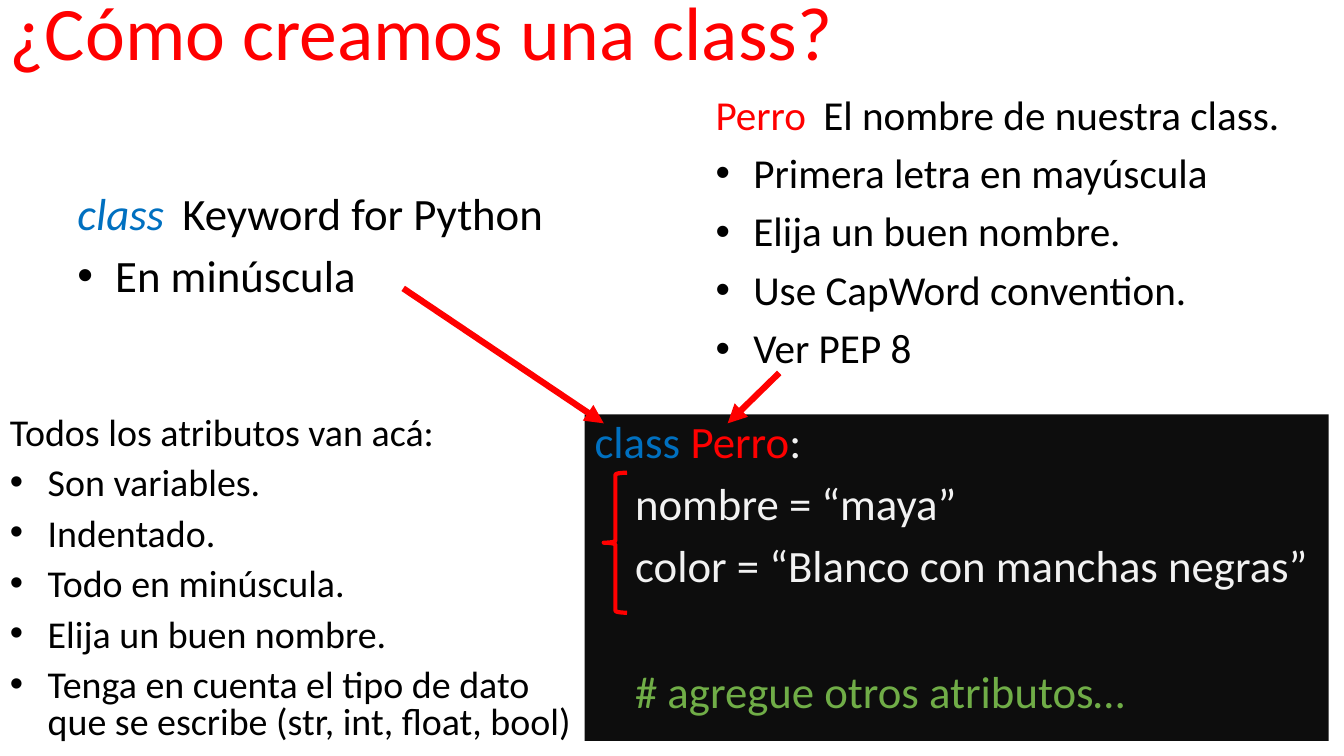
from dataclasses import dataclass

from lxml import etree
from pptx import Presentation
from pptx.dml.color import RGBColor
from pptx.enum.shapes import MSO_CONNECTOR, MSO_SHAPE
from pptx.enum.text import MSO_ANCHOR
from pptx.oxml.ns import qn
from pptx.util import Pt

STRAIGHT = MSO_CONNECTOR.STRAIGHT
RECTANGLE, LEFT_BRACE = MSO_SHAPE.RECTANGLE, MSO_SHAPE.LEFT_BRACE
TOP, BOTTOM = MSO_ANCHOR.TOP, MSO_ANCHOR.BOTTOM


@dataclass(frozen=True)
class Theme:
    font: str = "Calibri"
    red: str = "FF0000"
    blue: str = "0070C0"
    green: str = "70AD47"
    black: str = "000000"
    panel: str = "0D0D0D"
    light: str = "F2F2F2"
    title_size: float = 54
    body_size: float = 32
    name_size: float = 29.4
    attribute_size: float = 27.1
    gap: float = 10
    code_gap: float = 55  # leaves one empty line in the code
    indent: float = 27
    arrow_width: float = 4.5
    brace_width: float = 3


THEME = Theme()


@dataclass(frozen=True)
class Span:
    text: str
    color: str = THEME.black
    italic: bool = False


@dataclass(frozen=True)
class Line:
    spans: tuple[Span, ...]
    bullet: bool = False
    tab: float = 0
    before: float = THEME.gap


@dataclass(frozen=True)
class Block:
    left: float
    top: float
    width: float
    height: float
    size: float
    lines: tuple[Line, ...]
    spacing: float = 0.9
    anchor: MSO_ANCHOR = TOP
    fill: str = ""


@dataclass(frozen=True)
class Arrow:
    start: tuple[float, float]
    end: tuple[float, float]


def bullets(*texts: str) -> tuple[Line, ...]:
    return tuple(Line((Span(text),), bullet=True) for text in texts)


def code(text: str, color: str = THEME.light, before: float = THEME.gap) -> Line:
    return Line((Span(text, color),), before=before)


BLOCKS = (
    # Title
    Block(0, 1.5, 648, 57, THEME.title_size,
          (Line((Span("¿Cómo creamos una class?", THEME.red),)),), anchor=BOTTOM),
    # Code panel
    Block(417.6, 296, 531.4, 233.3, THEME.body_size, (
        Line((Span("class ", THEME.blue), Span("Perro", THEME.red),
              Span(":", THEME.light))),
        code("    nombre = “maya”"),
        code("    color = “Blanco con manchas negras”"),
        code("    # agregue otros atributos…", THEME.green, THEME.code_gap),
    ), fill=THEME.panel),
    # Note on the keyword
    Block(48.2, 133.2, 392.4, 89.3, THEME.body_size, (
        Line((Span("class", THEME.blue, True), Span("\tKeyword for Python")), tab=75),
        *bullets("En minúscula"),
    )),
    # Note on the class name
    Block(504, 64, 454.3, 216, THEME.name_size, (
        Line((Span("Perro", THEME.red), Span("\tEl nombre de nuestra class.")), tab=77),
        *bullets("Primera letra en mayúscula", "Elija un buen nombre.",
                 "Use CapWord convention.", "Ver PEP 8"),
    )),
    # Note on the attributes
    Block(0, 294.5, 417.6, 265, THEME.attribute_size, (
        Line((Span("Todos los atributos van acá:"),)),
        *bullets("Son variables.", "Indentado.", "Todo en minúscula.",
                 "Elija un buen nombre.",
                 "Tenga en cuenta el tipo de dato que se escribe (str, int, float, bool)"),
    ), spacing=0.8),
)

ARROWS = (
    Arrow((288, 206), (431.3, 302.4)),
    Arrow((556.6, 266.4), (519.8, 302.4)),
)


def rgb(color: str) -> RGBColor:
    return RGBColor.from_string(color)


def add_line(para, line: Line, block: Block, first: bool) -> None:
    properties = para._p.get_or_add_pPr()
    properties.set("algn", "l")
    para.line_spacing = block.spacing
    para.space_before = Pt(0 if first else line.before)
    if line.bullet:
        properties.set("marL", str(Pt(THEME.indent)))
        properties.set("indent", str(-Pt(THEME.indent)))
        etree.SubElement(properties, qn("a:buFont"), typeface="Arial")
        etree.SubElement(properties, qn("a:buChar"), char="•")
    if line.tab:
        tabs = etree.SubElement(properties, qn("a:tabLst"))
        etree.SubElement(tabs, qn("a:tab"), pos=str(Pt(line.tab)), algn="l")
    for span in line.spans:
        run = para.add_run()
        run.text = span.text
        run.font.name = THEME.font
        run.font.size = Pt(block.size)
        run.font.italic = span.italic
        run.font.color.rgb = rgb(span.color)


def add_block(page, block: Block) -> None:
    place = [Pt(value) for value in (block.left, block.top, block.width, block.height)]
    if block.fill:
        box = page.shapes.add_shape(RECTANGLE, *place)
        box.shadow.inherit = False
        box.fill.solid()
        box.fill.fore_color.rgb = rgb(block.fill)
        box.line.fill.background()
    else:
        box = page.shapes.add_textbox(*place)
    frame = box.text_frame
    frame.word_wrap = True
    frame.vertical_anchor = block.anchor
    for index, line in enumerate(block.lines):
        para = frame.add_paragraph() if index else frame.paragraphs[0]
        add_line(para, line, block, index == 0)


def add_arrow(page, arrow: Arrow) -> None:
    connector = page.shapes.add_connector(
        STRAIGHT, *(Pt(value) for value in arrow.start + arrow.end))
    connector.line.color.rgb = rgb(THEME.red)
    connector.line.width = Pt(THEME.arrow_width)
    etree.SubElement(connector.line._get_or_add_ln(), qn("a:tailEnd"), type="triangle")
    etree.SubElement(connector._element.spPr, qn("a:effectLst"))


def add_brace(page) -> None:
    brace = page.shapes.add_shape(LEFT_BRACE, Pt(431.3), Pt(337.7), Pt(16.6), Pt(100))
    brace.shadow.inherit = False
    brace.fill.background()
    brace.line.color.rgb = rgb(THEME.red)
    brace.line.width = Pt(THEME.brace_width)


def main() -> None:
    deck = Presentation()
    deck.slide_width, deck.slide_height = Pt(960), Pt(540)
    page = deck.slides.add_slide(deck.slide_layouts[6])
    for block in BLOCKS:
        add_block(page, block)
    for arrow in ARROWS:
        add_arrow(page, arrow)
    add_brace(page)
    deck.save("out.pptx")


if __name__ == "__main__":
    main()
